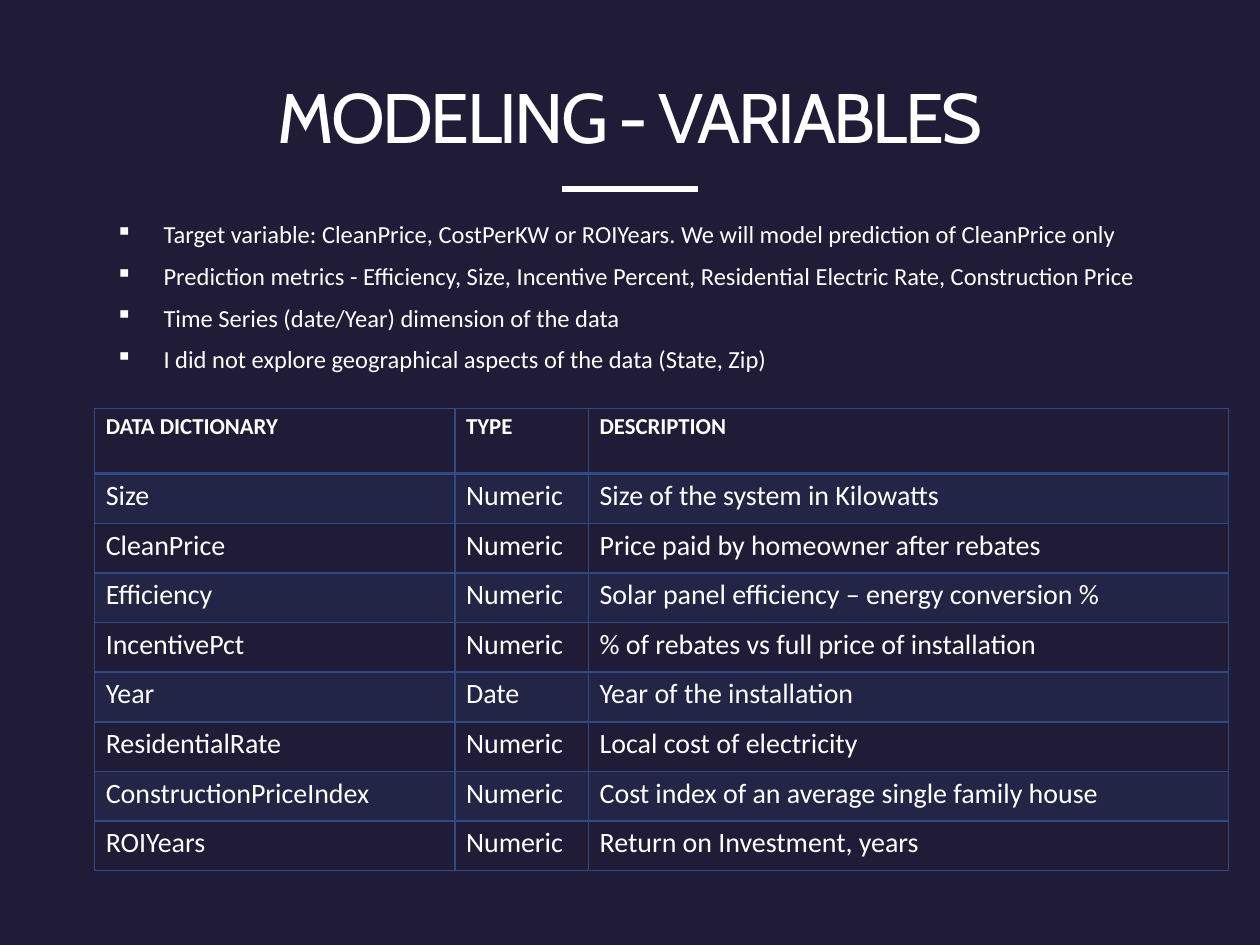
from pptx import Presentation
from pptx import util as u
from pptx.dml.color import RGBColor
from pptx.enum import shapes, text
from pptx.oxml import parse_xml
from pptx.oxml.ns import nsdecls

COLORS = {
    "back": "262140",
    "veil": "1D1A32",
    "ink": "FFFFFF",
    "grid": "2F4B83",
}
FORMATS = {
    "title": {"name": "Cabin", "size": u.Pt(40)},
    "bullet": {"name": "Calibri", "size": u.Pt(14)},
    "header": {"name": "Calibri", "size": u.Pt(13), "bold": True},
    "body": {"name": "Calibri", "size": u.Pt(16), "bold": False},
}
BULLETS = [
    "Target variable: CleanPrice, CostPerKW or ROIYears. We will model prediction of CleanPrice only",
    "Prediction metrics - Efficiency, Size, Incentive Percent, Residential Electric Rate, Construction Price",
    "Time Series (date/Year) dimension of the data",
    "I did not explore geographical aspects of the data (State, Zip)",
]
VARIABLES = [
    ("DATA DICTIONARY", "TYPE", "DESCRIPTION"),
    ("Size", "Numeric", "Size of the system in Kilowatts"),
    ("CleanPrice", "Numeric", "Price paid by homeowner after rebates"),
    ("Efficiency", "Numeric", "Solar panel efficiency – energy conversion %"),
    ("IncentivePct", "Numeric", "% of rebates vs full price of installation"),
    ("Year", "Date", "Year of the installation"),
    ("ResidentialRate", "Numeric", "Local cost of electricity"),
    ("ConstructionPriceIndex", "Numeric", "Cost index of an average single family house"),
    ("ROIYears", "Numeric", "Return on Investment, years"),
]


def rgb(key):
    return RGBColor.from_string(COLORS[key])


def xml(tag, body="", attrs=""):
    return parse_xml(f"<a:{tag} {nsdecls('a')} {attrs}>{body}</a:{tag}>")


class SlideBuilder:
    def __init__(self, prs):
        self.s = prs.slides.add_slide(prs.slide_layouts[6])
        fill = self.s.background.fill
        fill.solid()
        fill.fore_color.rgb = rgb("back")

    def add_text(self, p, words, style):
        r = p.add_run()
        r.text = words
        for key, value in FORMATS[style].items():
            setattr(r.font, key, value)
        r.font.color.rgb = rgb("ink")
        return r

    def tint(self, fill, element, key, opacity):
        fill.solid()
        fill.fore_color.rgb = rgb(key)
        color = element.xpath(".//a:solidFill/a:srgbClr")[0]
        color.append(xml("alpha", attrs=f'val="{opacity * 1000}"'))

    def veil(self, width, height):
        sp = self.s.shapes.add_shape(shapes.MSO_SHAPE.RECTANGLE, 0, 0, width, height)
        sp.shadow.inherit = False
        sp.line.fill.background()
        self.tint(sp.fill, sp._element.spPr, "veil", 62)

    def rule(self, left, right, y):
        sp = self.s.shapes.add_connector(
            shapes.MSO_CONNECTOR.STRAIGHT, *map(u.Inches, (left, y, right, y)))
        sp.line.color.rgb = rgb("ink")
        sp.line.width = u.Pt(3)
        sp._element.spPr.append(xml("effectLst"))

    def box(self, *place):
        tf = self.s.shapes.add_textbox(*map(u.Inches, place)).text_frame
        tf.word_wrap = True
        return tf

    def title(self, words, *place):
        tf = self.box(*place)
        tf.vertical_anchor = text.MSO_ANCHOR.MIDDLE
        p = tf.paragraphs[0]
        p.alignment = text.PP_ALIGN.CENTER
        r = self.add_text(p, words, "title")
        r.font._element.set("spc", "-150")

    def bullets(self, items, *place):
        tf = self.box(*place)
        for i, item in enumerate(items):
            p = tf.add_paragraph() if i else tf.paragraphs[0]
            pPr = p._p.get_or_add_pPr()
            pPr.set("marL", str(u.Inches(0.45)))
            pPr.set("indent", str(u.Inches(-0.38)))
            pPr.append(xml("buSzPct", attrs='val="95000"'))
            pPr.append(xml("buChar", attrs='char="▪"'))
            if i:
                p.space_before = u.Pt(7)
            self.add_text(p, item, "bullet")

    def borders(self, cell, header_edges):
        tcPr = cell._tc.get_or_add_tcPr()
        paint = f'<a:solidFill><a:srgbClr val="{COLORS["grid"]}"/></a:solidFill>'
        for i, side in enumerate("LRTB"):
            width = u.Pt(2 if side in header_edges else 1)
            tcPr.insert(i, xml(f"ln{side}", paint, f'w="{width}"'))

    def table(self, rows, widths, header_height, *place):
        frame = self.s.shapes.add_table(len(rows), len(widths), *map(u.Inches, place))
        tbl = frame.table
        tbl.horz_banding = False
        for col, width in zip(tbl.columns, widths):
            col.width = u.Inches(width)
        row_height = (place[3] - header_height) / (len(rows) - 1)
        for i, row in enumerate(rows):
            tbl.rows[i].height = u.Inches(row_height if i else header_height)
            for j, words in enumerate(row):
                cell = tbl.cell(i, j)
                cell.margin_left = cell.margin_right = u.Inches(0.09)
                cell.margin_top = cell.margin_bottom = u.Inches(0.04)
                self.add_text(cell.text_frame.paragraphs[0], words, "body" if i else "header")
                if i % 2:
                    self.tint(cell.fill, cell._tc.get_or_add_tcPr(), "grid", 20)
                else:
                    cell.fill.background()
                self.borders(cell, {0: "B", 1: "T"}.get(i, ""))


def main():
    prs = Presentation()
    prs.slide_width, prs.slide_height = u.Inches(10), u.Inches(7.5)
    slide = SlideBuilder(prs)
    slide.veil(prs.slide_width, prs.slide_height)
    slide.rule(4.46, 5.54, 1.5)
    slide.title("MODELING - VARIABLES", 0.5, 0.57, 9, 0.69)
    slide.bullets(BULLETS, 0.75, 1.69, 9, 1.31)
    slide.table(VARIABLES, (2.86, 1.06, 5.08), 0.52, 0.75, 3.24, 9, 3.67)
    prs.save("out.pptx")


if __name__ == "__main__":
    main()
